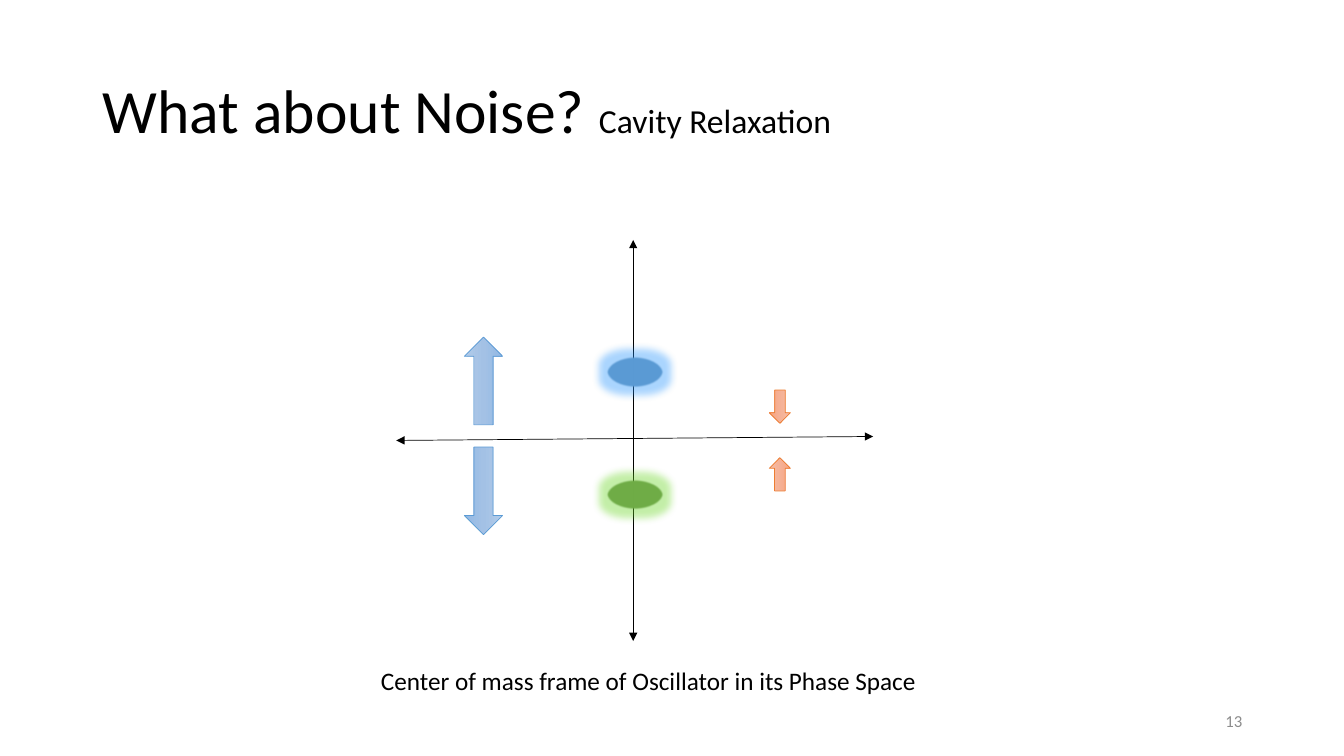
from lxml.etree import SubElement
from pptx import Presentation
from pptx.dml.color import RGBColor
from pptx.enum.shapes import MSO_CONNECTOR, MSO_SHAPE
from pptx.enum.text import MSO_ANCHOR, PP_ALIGN
from pptx.oxml import parse_xml
from pptx.oxml.ns import nsdecls, qn
from pptx.util import Inches, Pt


def rgb(hex_color):
    return RGBColor.from_string(hex_color)


class PhaseSpaceSlide:
    font = "Calibri"
    ink = "000000"

    def __init__(self, presentation):
        self.slide = presentation.slides.add_slide(presentation.slide_layouts[5])
        self.shapes = self.slide.shapes

    def style_run(self, run, size, color):
        run.font.name = self.font
        run.font.size = Pt(size)
        run.font.color.rgb = rgb(color)

    def title(self, heading, subheading):
        title = self.shapes.title
        title.left, title.top = Inches(0.92), Inches(0.4)
        title.width, title.height = Inches(11.5), Inches(1.45)
        title.text_frame.vertical_anchor = MSO_ANCHOR.MIDDLE
        paragraph = title.text_frame.paragraphs[0]
        paragraph.alignment = PP_ALIGN.LEFT
        paragraph.line_spacing = 0.9
        for text, size in ((heading, 44), (subheading, 24)):
            run = paragraph.add_run()
            run.text = text
            self.style_run(run, size, self.ink)

    def label(self, text, left, top, width, size, color, align=PP_ALIGN.LEFT):
        box = self.shapes.add_textbox(Inches(left), Inches(top), Inches(width), Inches(0.4))
        frame = box.text_frame
        frame.word_wrap = True
        frame.vertical_anchor = MSO_ANCHOR.MIDDLE
        frame.text = text
        frame.paragraphs[0].alignment = align
        self.style_run(frame.paragraphs[0].runs[0], size, color)

    def axis(self, x1, y1, x2, y2):
        axis = self.shapes.add_connector(
            MSO_CONNECTOR.STRAIGHT, Inches(x1), Inches(y1), Inches(x2), Inches(y2))
        axis.line.color.rgb = rgb(self.ink)
        axis.line.width = Pt(0.5)
        outline = axis.line._get_or_add_ln()
        for end in ("a:headEnd", "a:tailEnd"):
            SubElement(outline, qn(end), type="triangle")
        SubElement(axis._element.spPr, qn("a:effectLst"))

    def preset(self, kind, left, top, width, height, line_color, line_width):
        shape = self.shapes.add_shape(
            kind, Inches(left), Inches(top), Inches(width), Inches(height))
        shape.shadow.inherit = False
        shape.line.color.rgb = rgb(line_color)
        shape.line.width = Pt(line_width)
        return shape

    def state(self, top, color, glow_color):
        state = self.preset(MSO_SHAPE.OVAL, 6.02, top, 0.56, 0.3, "43739E", 1)
        state.fill.solid()
        state.fill.fore_color.rgb = rgb(color)
        state.line.fill.background()
        # Translucent glow and a slightly soft edge
        effects = state._element.spPr.find(qn("a:effectLst"))
        glow = SubElement(effects, qn("a:glow"), rad=str(Inches(0.15)))
        glow_fill = SubElement(glow, qn("a:srgbClr"), val=glow_color)
        SubElement(glow_fill, qn("a:alpha"), val="40000")
        SubElement(effects, qn("a:softEdge"), rad=str(Pt(1)))

    def arrow(self, left, top, width, height, rotation, line_color, gradient):
        arrow = self.preset(
            MSO_SHAPE.RIGHT_ARROW, left, top, width, height, line_color, 0.5)
        arrow.rotation = rotation
        stops = "".join(
            f'<a:gs pos="{position}"><a:srgbClr val="{color}"/></a:gs>'
            for position, color in zip((0, 50000, 100000), gradient))
        properties = arrow._element.spPr
        properties.find(qn("a:prstGeom")).addnext(parse_xml(
            f'<a:gradFill rotWithShape="1" {nsdecls("a")}><a:gsLst>{stops}</a:gsLst>'
            '<a:lin ang="5400000" scaled="0"/></a:gradFill>'))


def main():
    presentation = Presentation()
    presentation.slide_width, presentation.slide_height = Inches(13.33), Inches(7.5)
    noise = PhaseSpaceSlide(presentation)

    # Heading and page number
    noise.title("What about Noise? ", "Cavity Relaxation")
    noise.label("13", 9.42, 6.95, 3, 12, "8C8C8C", PP_ALIGN.RIGHT)

    # Phase space axes
    noise.axis(6.28, 2.38, 6.28, 6.36)
    noise.axis(3.93, 4.37, 8.66, 4.33)

    # Oscillator states
    noise.state(3.54, "5B9BD5", "2A96FF")
    noise.state(4.76, "70AD47", "6BD725")

    # Spreading arrows on the left, relaxing arrows on the right
    spreading = ("5B9BD5", ("B1CBE9", "A3C1E5", "93B9E4"))
    relaxing = ("ED7D31", ("F7BDA5", "F5B196", "F8A582"))
    for top, rotation in ((3.59, 270), (4.68, 90)):
        noise.arrow(4.36, top, 0.87, 0.38, rotation, *spreading)
    for top, rotation in ((3.93, 90), (4.6, 270)):
        noise.arrow(7.57, top, 0.33, 0.21, rotation, *relaxing)

    # Caption
    noise.label("Center of mass frame of Oscillator in its Phase Space",
                3.68, 6.55, 5.79, 18, noise.ink)

    presentation.save("out.pptx")


if __name__ == "__main__":
    main()
